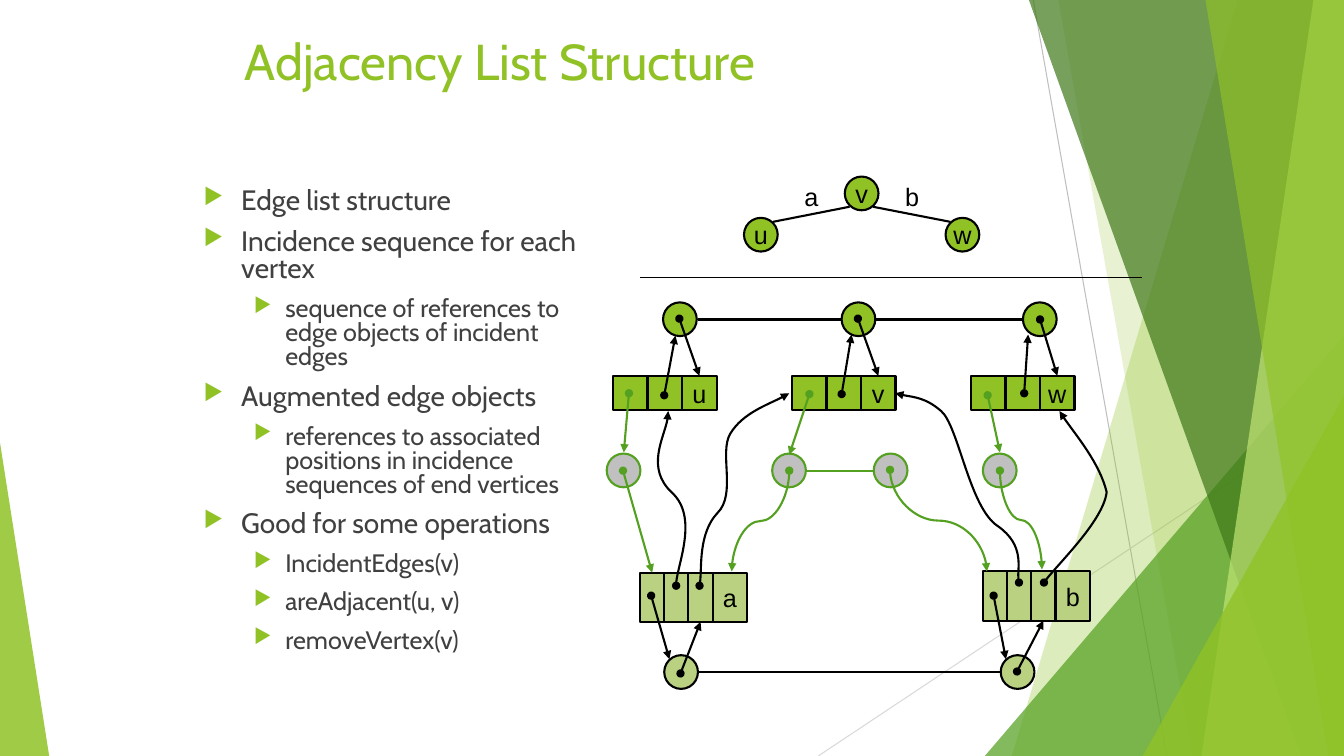
"""Build a slide that explains the adjacency list structure of a graph."""
from lxml import etree
from pptx import Presentation
from pptx.dml.color import RGBColor
from pptx.enum.shapes import MSO_CONNECTOR, MSO_SHAPE
from pptx.enum.text import MSO_ANCHOR, PP_ALIGN
from pptx.oxml.ns import qn
from pptx.util import Cm, Pt

LIME, GREEN, PALE, GREY, BLACK = "90C226", "54A021", "B9D181", "C0C0C0", "000000"
NODE, CELL, SLOT, RECORD_HEIGHT = 0.85, 0.87, 0.61, 1.24
WIDTH, HEIGHT = 33.87, 19.05


def style(shape, fill=None, alpha=100, line=None, width=1.5, arrow=False):
    """Set fill, outline and arrowheads, and remove the shadow."""
    if fill:
        shape.fill.solid()
        shape.fill.fore_color.rgb = RGBColor.from_string(fill)
        color = shape._element.spPr.find(".//" + qn("a:srgbClr"))
        etree.SubElement(color, qn("a:alpha"), val=str(alpha * 1000))
    if line:
        shape.line.color.rgb = RGBColor.from_string(line)
        shape.line.width = Pt(width)
    else:
        shape.line.fill.background()
    if arrow:
        outline = shape.line._get_or_add_ln()
        etree.SubElement(outline, qn("a:headEnd"), type="oval")
        etree.SubElement(outline, qn("a:tailEnd"), type="triangle")
    etree.SubElement(shape._element.spPr, qn("a:effectLst"))


def label(shape, text):
    """Write one centred letter."""
    frame = shape.text_frame
    frame.word_wrap = False
    frame.vertical_anchor = MSO_ANCHOR.MIDDLE
    frame.margin_left = frame.margin_right = frame.margin_top = frame.margin_bottom = 0
    paragraph = frame.paragraphs[0]
    paragraph.alignment = PP_ALIGN.CENTER
    run = paragraph.add_run()
    run.text = text
    run.font.name = "Arial"
    run.font.size = Pt(18)
    run.font.color.rgb = RGBColor.from_string(BLACK)


presentation = Presentation()
presentation.slide_width, presentation.slide_height = Cm(WIDTH), Cm(HEIGHT)
slide = presentation.slides.add_slide(presentation.slide_layouts[6])
shapes = slide.shapes

for x1, y1, x2, y2, color in [
    (26.04, 0, 29.41, HEIGHT, "BFBFBF"),
    (WIDTH, 10.24, 20.62, HEIGHT, "D9D9D9"),
]:
    ray = shapes.add_connector(MSO_CONNECTOR.STRAIGHT, Cm(x1), Cm(y1), Cm(x2), Cm(y2))
    style(ray, line=color, width=0.75)

# bands hold top and bottom x, triangles hold left, top, width and tip
for fill, alpha, *extent in [
    (LIME, 30, 31.19, 25.5),
    (LIME, 20, 26.67, 30.05),
    (GREEN, 72, 24.82, 8.46, 9.05, 1),
    ("3F7819", 70, 25.93, 32.79),
    ("C0E474", 70, 33.1, 30.28),
    (LIME, 65, 30.38, 33.48),
    (LIME, 80, 28.8, 9.98, 5.07, 1),
    (LIME, 85, 0, 11.15, 1.24, 0),
]:
    if len(extent) == 2:
        top_x, bottom_x = extent
        builder = shapes.build_freeform(Cm(top_x), 0)
        builder.add_line_segments(
            [(Cm(WIDTH), 0), (Cm(WIDTH), Cm(HEIGHT)), (Cm(bottom_x), Cm(HEIGHT))]
        )
        facet = builder.convert_to_shape()
    else:
        left, top, width, tip = extent
        facet = shapes.add_shape(
            MSO_SHAPE.ISOSCELES_TRIANGLE, Cm(left), Cm(top), Cm(width), Cm(HEIGHT - top)
        )
        facet.adjustments[0] = tip
    style(facet, fill, alpha)

title = shapes.add_textbox(Cm(5.92), Cm(0.64), Cm(22.66), Cm(2.34))
title.text_frame.word_wrap = True
run = title.text_frame.paragraphs[0].add_run()
run.text = "Adjacency List Structure"
run.font.name = "Cabin"
run.font.size = Pt(36)
run.font.color.rgb = RGBColor.from_string(LIME)

body = shapes.add_textbox(Cm(4.88), Cm(4.65), Cm(10.16), Cm(12.93))
body.text_frame.word_wrap = True
for index, (level, text) in enumerate([
    (0, "Edge list structure"),
    (0, "Incidence sequence for each vertex"),
    (1, "sequence of references to edge objects of incident edges"),
    (0, "Augmented edge objects"),
    (1, "references to associated positions in incidence sequences of end vertices"),
    (0, "Good for some operations"),
    (1, "IncidentEdges(v)"),
    (1, "areAdjacent(u, v)"),
    (1, "removeVertex(v)"),
]):
    paragraph = body.text_frame.add_paragraph() if index else body.text_frame.paragraphs[0]
    properties = paragraph._p.get_or_add_pPr()
    properties.set("marL", str(Cm(2.06 if level else 0.95)))
    properties.set("indent", str(-Cm(0.79 if level else 0.95)))
    bullet_color = etree.SubElement(properties, qn("a:buClr"))
    etree.SubElement(bullet_color, qn("a:srgbClr"), val=LIME)
    etree.SubElement(properties, qn("a:buSzPct"), val="80000")
    etree.SubElement(properties, qn("a:buChar"), char="▶")
    paragraph.level = level
    paragraph.line_spacing = 0.8
    paragraph.space_before = Pt(10 if index else 0)
    run = paragraph.add_run()
    run.text = text
    run.font.name = "Cabin"
    run.font.size = Pt(18 if level else 20)
    run.font.color.rgb = RGBColor.from_string("404040")

for x1, y1, x2, y2, color, width in [
    (25.2, 16.94, 17.6, 16.94, BLACK, 1.5),
    (25.76, 8.05, 17.6, 8.05, BLACK, 1.5),
    (22, 11.86, 20.32, 11.86, GREEN, 1.5),
    (22, 5.21, 23.95, 5.59, BLACK, 1.5),
    (21.41, 5.21, 19.48, 5.59, BLACK, 1.5),
    (16.13, 6.99, 28.78, 6.99, BLACK, 0.75),
]:
    link = shapes.add_connector(MSO_CONNECTOR.STRAIGHT, Cm(x1), Cm(y1), Cm(x2), Cm(y2))
    style(link, line=color, width=width)

for fill, line, top, nodes in [
    (LIME, BLACK, 5.49, [(18.75, "u"), (23.83, "w")]),
    (LIME, BLACK, 4.45, [(21.29, "v")]),
    (LIME, BLACK, 7.62, [(16.71, ""), (21.21, ""), (25.78, "")]),
    (PALE, BLACK, 16.51, [(16.74, ""), (25.22, "")]),
    (GREY, GREEN, 11.43, [(15.29, ""), (19.46, ""), (22.02, ""), (24.77, "")]),
]:
    for left, name in nodes:
        node = shapes.add_shape(MSO_SHAPE.OVAL, Cm(left), Cm(top), Cm(NODE), Cm(NODE))
        style(node, fill, line=line)
        if name:
            label(node, name)

for left, name in [(20.02, "a"), (22.56, "b")]:
    label(shapes.add_textbox(Cm(left), Cm(4.45), Cm(0.86), Cm(1.02)), name)

records = {}
for name, left, top, height, fill, widths in [
    ("u", 15.45, 9.47, CELL, LIME, [CELL] * 3),
    ("v", 19.96, 9.47, CELL, LIME, [CELL] * 3),
    ("w", 24.47, 9.47, CELL, LIME, [CELL] * 3),
    ("a", 16.13, 14.43, RECORD_HEIGHT, PALE, [SLOT] * 3 + [CELL]),
    ("b", 24.77, 14.4, RECORD_HEIGHT, PALE, [SLOT] * 3 + [CELL]),
]:
    records[name] = []
    for width in widths:
        cell = shapes.add_shape(MSO_SHAPE.RECTANGLE, Cm(left), Cm(top), Cm(width), Cm(height))
        style(cell, fill, line=BLACK)
        records[name].append(cell)
        left += width
    label(records[name][-1], name)

for x1, y1, x2, y2, color in [
    (16.74, 9.96, 17.02, 8.46, BLACK),
    (21.21, 9.93, 21.46, 8.43, BLACK),
    (25.81, 9.91, 25.91, 8.43, BLACK),
    (16.41, 15.01, 16.87, 16.61, BLACK),
    (25.04, 15.01, 25.35, 16.61, BLACK),
    (15.85, 9.91, 15.72, 11.4, GREEN),
    (20.4, 9.93, 19.89, 11.46, GREEN),
    (24.89, 9.96, 25.2, 11.4, GREEN),
]:
    arrow = shapes.add_connector(MSO_CONNECTOR.STRAIGHT, Cm(x1), Cm(y1), Cm(x2), Cm(y2))
    style(arrow, line=color, arrow=True)

for x, y, name, cell, side, color in [
    (17.12, 8.03, "u", 2, 0, BLACK),
    (21.62, 8.03, "v", 2, 0, BLACK),
    (26.21, 8.05, "w", 2, 0, BLACK),
    (17.15, 16.97, "a", 2, 2, BLACK),
    (25.63, 16.92, "b", 2, 2, BLACK),
    (15.7, 11.86, "a", 0, 0, GREEN),
]:
    arrow = shapes.add_connector(MSO_CONNECTOR.STRAIGHT, Cm(x), Cm(y), Cm(x), Cm(y))
    arrow.end_connect(records[name][cell], side)
    style(arrow, line=color, arrow=True)

for x1, y1, x2, y2 in [
    (19.89, 11.86, 18.44, 14.4),
    (22.43, 11.84, 24.87, 14.4),
    (25.2, 11.86, 26.26, 14.35),
]:
    middle_x, middle_y = (x1 + x2) / 2, (y1 + y2) / 2
    half_run, half_rise = (y2 - y1) / 2, abs(x2 - x1) / 2
    curve = shapes.add_connector(
        MSO_CONNECTOR.CURVE,
        Cm(middle_x - half_run), Cm(middle_y - half_rise),
        Cm(middle_x + half_run), Cm(middle_y + half_rise),
    )
    transform = curve._element.spPr.find(qn("a:xfrm"))
    transform.set("rot", str((90 if x2 < x1 else 270) * 60000))
    transform.set("flipH", "0" if x2 < x1 else "1")
    style(curve, line=GREEN, arrow=True)

for start, *controls in [
    [(17.63, 14.76), (17.7, 14.45), (17.6, 13.44), (18.08, 12.93), (18.57, 12.45),
     (18.11, 11.4), (18.41, 10.92), (18.72, 10.41), (19.58, 10.11), (19.89, 9.91)],
    [(17.04, 14.76), (17.02, 14.35), (17.6, 13.03), (16.94, 12.42), (16.26, 11.79),
     (16.87, 10.8), (16.84, 10.36)],
    [(25.68, 14.68), (25.6, 14.45), (25.83, 13.74), (25.15, 13.26), (24.43, 12.8),
     (24.16, 10.74), (23.72, 10.36), (23.32, 10.01), (22.78, 9.98), (22.56, 9.91)],
    [(26.31, 14.68), (26.57, 14.3), (27.81, 13.11), (27.89, 12.4), (27.71, 11.66),
     (26.95, 10.77), (26.7, 10.36)],
]:
    builder = shapes.build_freeform(Cm(start[0]), Cm(start[1]))
    builder.add_line_segments([(Cm(x), Cm(y)) for x, y in controls], close=False)
    reference = builder.convert_to_shape()
    segments = list(reference._element.iter(qn("a:lnTo")))
    for first, second, third in zip(segments[::3], segments[1::3], segments[2::3]):
        first.tag = qn("a:cubicBezTo")
        for segment in (second, third):
            first.append(segment[0])
            segment.getparent().remove(segment)
    reference.fill.background()
    style(reference, line=BLACK, arrow=True)

presentation.save("out.pptx")
